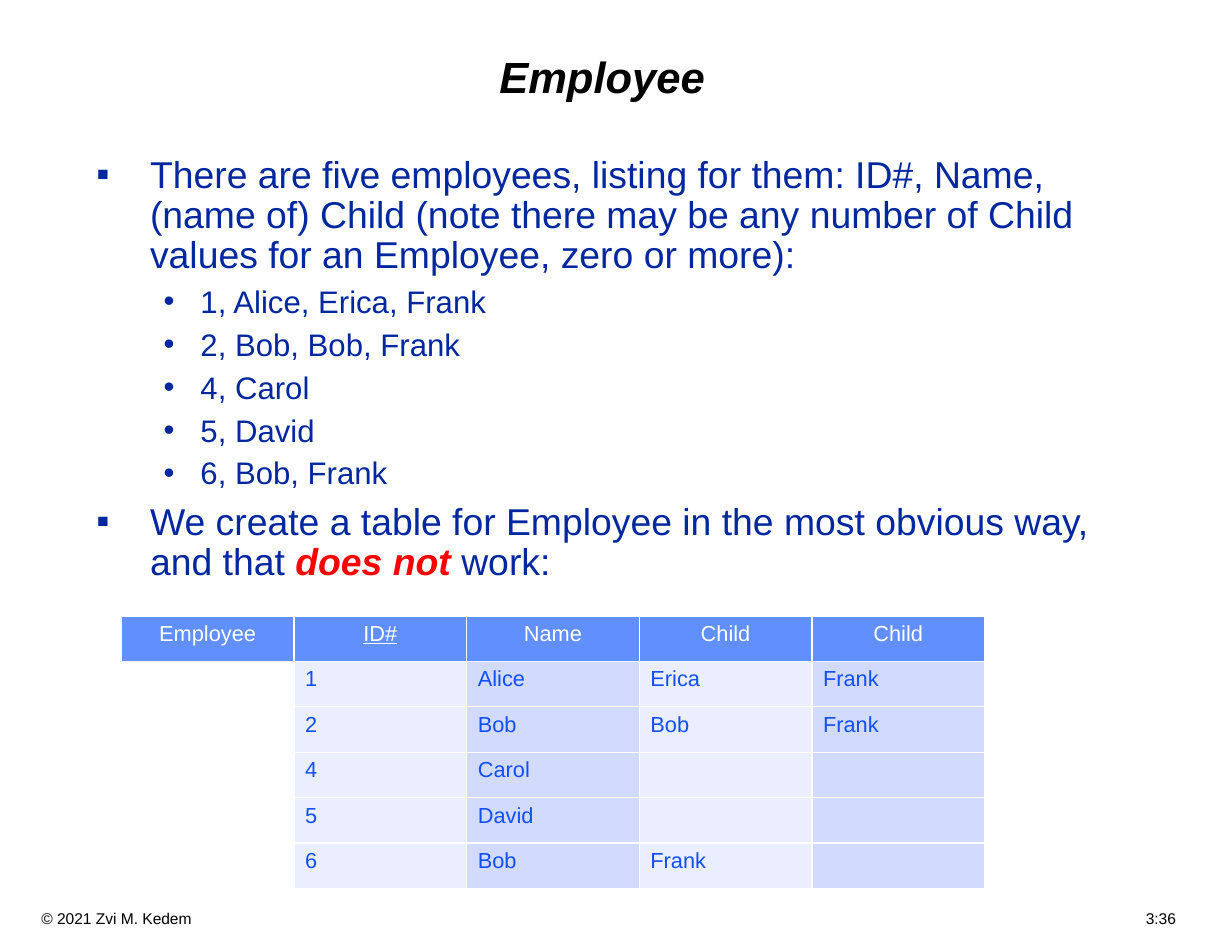
"""Build the Employee slide: a bulleted listing above a table of children."""
from dataclasses import dataclass

from lxml.etree import SubElement
from pptx import Presentation
from pptx.dml.color import RGBColor
from pptx.enum.text import MSO_ANCHOR, PP_ALIGN
from pptx.oxml.ns import qn
from pptx.util import Inches, Pt


@dataclass(frozen=True)
class Theme:
    font: str = "Arial"
    black: str = "000000"
    white: str = "FFFFFF"
    navy: str = "00279F"
    red: str = "FF0000"
    blue: str = "114FFB"
    header: str = "618FFD"
    bands: tuple = ("D2DBFE", "EAEEFF")
    title_size: int = 28
    body_sizes: tuple = (24, 20)
    table_size: int = 14
    footer_size: int = 10


def add_span(para, text, size, color, bold=False, italic=False, underline=False):
    span = para.add_run()
    span.text = text
    font = span.font
    font.name, font.size = theme.font, Pt(size)
    font.bold, font.italic, font.underline = bold, italic, underline
    font.color.rgb = RGBColor.from_string(color)


def add_box(left, top, width, height):
    box = page.shapes.add_textbox(
        *(round(cells * unit) for cells in (left, top, width, height)))
    frame = box.text_frame
    frame.word_wrap = True
    frame.margin_left = frame.margin_right = Inches(0.11)
    frame.margin_top = frame.margin_bottom = Inches(0.06)
    return frame


theme = Theme()
deck = Presentation()
deck.slide_width, deck.slide_height = Inches(11), Inches(8.5)
unit = deck.slide_width / 132
page = deck.slides.add_slide(deck.slide_layouts[6])

footer = add_box(0, 96.7, 132, 3.2)
footer.margin_left = Inches(0.37)
para = footer.paragraphs[0]
tabs = SubElement(para._p.get_or_add_pPr(), qn("a:tabLst"))
SubElement(tabs, qn("a:tab"), pos=str(Inches(10.13)), algn="r")
add_span(para, "© 2021 Zvi M. Kedem\t3:36", theme.footer_size, theme.black)

title = add_box(9, 3, 111, 11)
title.vertical_anchor = MSO_ANCHOR.MIDDLE
para = title.paragraphs[0]
para.alignment, para.line_spacing = PP_ALIGN.CENTER, 0.9
add_span(para, "Employee", theme.title_size, theme.black, bold=True, italic=True)

bullets = [
    (0, ["There are five employees, listing for them: ID#, Name, (name of) Child "
         "(note there may be any number of Child values for an Employee, zero or more):"]),
    (1, ["1, Alice, Erica, Frank"]),
    (1, ["2, Bob, Bob, Frank"]),
    (1, ["4, Carol"]),
    (1, ["5, David"]),
    (1, ["6, Bob, Frank"]),
    (0, ["We create a table for Employee in the most obvious way, and that ",
         "does not ", "work:"]),
]
levels = [("▪", 0.48, 0.48), ("•", 0.93, 0.33)]
body = add_box(9, 16, 112, 80)
for index, (level, texts) in enumerate(bullets):
    para = body.paragraphs[0] if index == 0 else body.add_paragraph()
    mark, margin, hanging = levels[level]
    size = theme.body_sizes[level]
    para.level, para.line_spacing = level, 0.9
    if index:
        para.space_before = Pt(0.3 * size)
    settings = para._p.get_or_add_pPr()
    settings.set("marL", str(Inches(margin)))
    settings.set("indent", str(-Inches(hanging)))
    color = SubElement(settings, qn("a:buClr"))
    SubElement(color, qn("a:srgbClr"), val=theme.navy)
    SubElement(settings, qn("a:buFont"), typeface=theme.font)
    SubElement(settings, qn("a:buChar"), char=mark)
    for text in texts:
        stressed = text == "does not "
        add_span(para, text, size, theme.red if stressed else theme.navy,
                 bold=stressed, italic=stressed)

rows = [
    ["Employee", "ID#", "Name", "Child", "Child"],
    ["", "1", "Alice", "Erica", "Frank"],
    ["", "2", "Bob", "Bob", "Frank"],
    ["", "4", "Carol", "", ""],
    ["", "5", "David", "", ""],
    ["", "6", "Bob", "Frank", ""],
]
table = page.shapes.add_table(
    len(rows), len(rows[0]),
    *(round(cells * unit) for cells in (13, 66, 92.5, 29.2))).table
for row, texts in enumerate(rows):
    for column, text in enumerate(texts):
        cell = table.cell(row, column)
        if row == 0:
            fill = theme.header
        else:
            fill = theme.bands[column % 2] if column else theme.white
        cell.fill.solid()
        cell.fill.fore_color.rgb = RGBColor.from_string(fill)
        para = cell.text_frame.paragraphs[0]
        para.alignment = PP_ALIGN.LEFT if row else PP_ALIGN.CENTER
        if text:
            add_span(para, text, theme.table_size, theme.blue if row else theme.white,
                     underline=text == "ID#")

deck.save("out.pptx")
